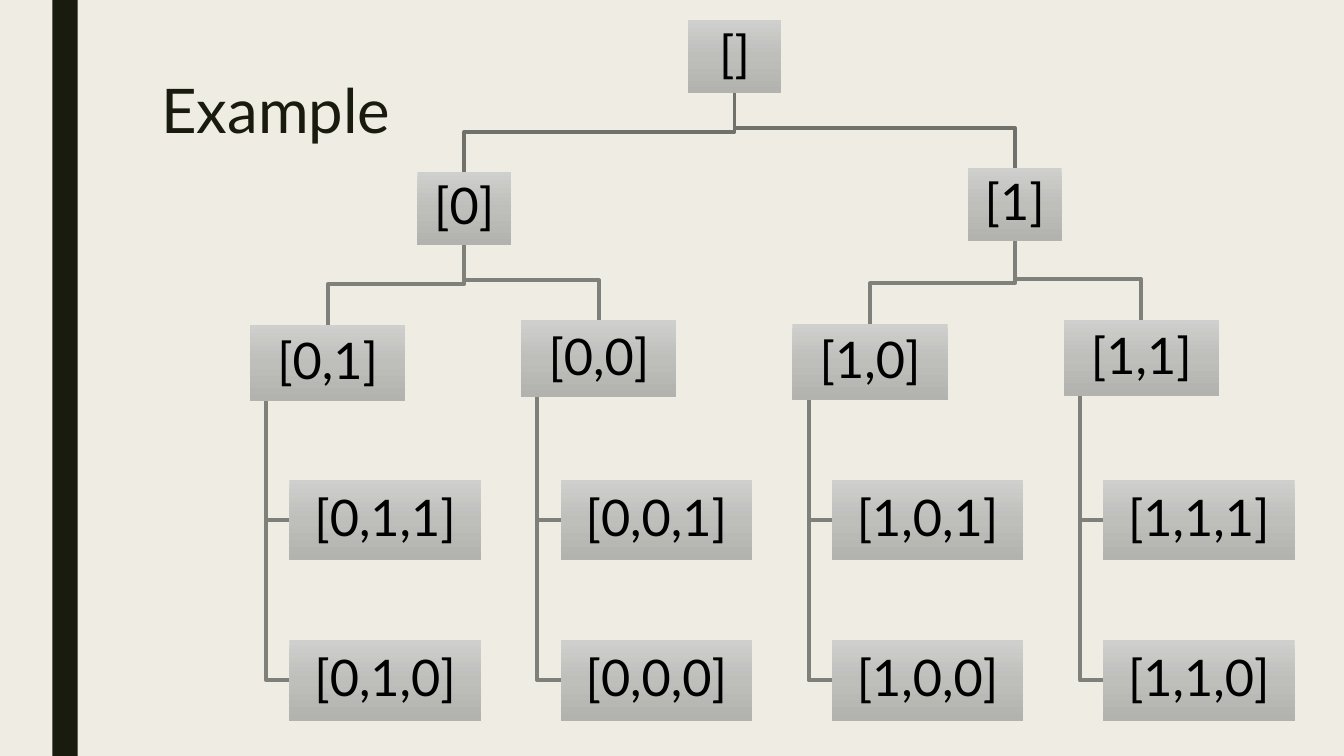
from copy import deepcopy
from pptx import Presentation
from pptx.dml.color import RGBColor
from pptx.enum import shapes, text
from pptx.util import Inches, Pt

PAPER = RGBColor(0xEF, 0xED, 0xE3)
DARK = RGBColor(0x19, 0x1B, 0x0E)
BLACK = RGBColor(0, 0, 0)
LIGHT = RGBColor(0xCF, 0xCF, 0xCD)
MID = RGBColor(0xBE, 0xBE, 0xBB)
DEEP = RGBColor(0xB2, 0xB3, 0xAF)
UPPER = RGBColor(0x70, 0x71, 0x6B)
LOWER = RGBColor(0x7F, 0x80, 0x7A)
RECT = shapes.MSO_SHAPE.RECTANGLE
FONT = "Lato"

deck = Presentation()
deck.slide_width, deck.slide_height = Inches(13.33), Inches(7.5)
slide = deck.slides.add_slide(deck.slide_layouts[5])
slide.background.fill.solid()
slide.background.fill.fore_color.rgb = PAPER

# Side band
band = slide.shapes.add_shape(RECT, Inches(0.52), 0, Inches(0.25), Inches(7.5))
band.shadow.inherit = False
band.fill.solid()
band.fill.fore_color.rgb = DARK
band.line.fill.background()

# Title
title = slide.shapes.title
title.left, title.top = Inches(1.5), Inches(0.75)
title.width, title.height = Inches(10.5), Inches(1.62)
title.text_frame.vertical_anchor = text.MSO_ANCHOR.TOP
para = title.text_frame.paragraphs[0]
para.alignment = text.PP_ALIGN.LEFT
para.line_spacing = 0.89
run = para.add_run()
run.text = "Example"
run.font.name, run.font.size = FONT, Pt(44)
run.font.color.rgb = DARK

tree = slide.shapes.add_group_shape()


def add_link(points, color):
    spots = [(Inches(x), Inches(y)) for x, y in points]
    pen = tree.shapes.build_freeform(*spots[0], scale=1.0)
    pen.add_line_segments(spots[1:], close=False)
    link = pen.convert_to_shape()
    link.shadow.inherit = False
    link.fill.background()
    link.line.color.rgb = color
    link.line.width = Pt(2.75)


def add_node(label, left, top, width, height):
    node = tree.shapes.add_shape(RECT, Inches(left), Inches(top), Inches(width), Inches(height))
    node.shadow.inherit = False
    node.line.fill.background()
    # Three-stop fill, light at the top
    node.fill.gradient()
    node.fill.gradient_angle = 270
    first = node.fill.gradient_stops[0]._gs
    first.addnext(deepcopy(first))
    for stop, place, color in zip(node.fill.gradient_stops, (0, 0.5, 1), (LIGHT, MID, DEEP)):
        stop.position = place
        stop.color.rgb = color
    frame = node.text_frame
    frame.word_wrap = True
    frame.vertical_anchor = text.MSO_ANCHOR.MIDDLE
    frame.margin_left = frame.margin_right = Inches(0.03)
    frame.margin_top = frame.margin_bottom = Inches(0.03)
    para = frame.paragraphs[0]
    para.alignment = text.PP_ALIGN.CENTER
    para.line_spacing = 0.9
    run = para.add_run()
    run.text = label
    run.font.name, run.font.size = FONT, Pt(36)
    run.font.color.rgb = BLACK


# Nodes: bits -> left, top, width, height
nodes = {
    "": (6.82, 0.2, 0.93, 0.72),
    "0": (4.14, 1.71, 0.93, 0.72),
    "1": (9.6, 1.67, 0.93, 0.72),
}
pairs = [("01", 3.22), ("00", 3.18), ("10", 3.21), ("11", 3.17)]
for col, (bits, top) in enumerate(pairs):
    left = 2.87 + 2.69 * col
    nodes[bits] = (left - 0.39, top, 1.54, 0.76)
    nodes[bits + "1"] = (left, 4.76, 1.9, 0.8)
    nodes[bits + "0"] = (left, 6.35, 1.9, 0.8)

# Links from each node to its parent
for bits, (left, top, width, height) in nodes.items():
    if not bits:
        continue
    px, py, pw, ph = nodes[bits[:-1]]
    if len(bits) == 3:
        stem, mid = px + 0.16, top + height / 2
        points = [(stem, py + ph), (stem, mid), (left, mid)]
    else:
        start, end, bend = px + pw / 2, left + width / 2, top - 0.4
        points = [(start, py + ph), (start, bend), (end, bend), (end, top)]
    add_link(points, UPPER if len(bits) == 1 else LOWER)

# Boxes on top of the links
for bits, rect in nodes.items():
    add_node("[" + ",".join(bits) + "]", *rect)

deck.save("out.pptx")
